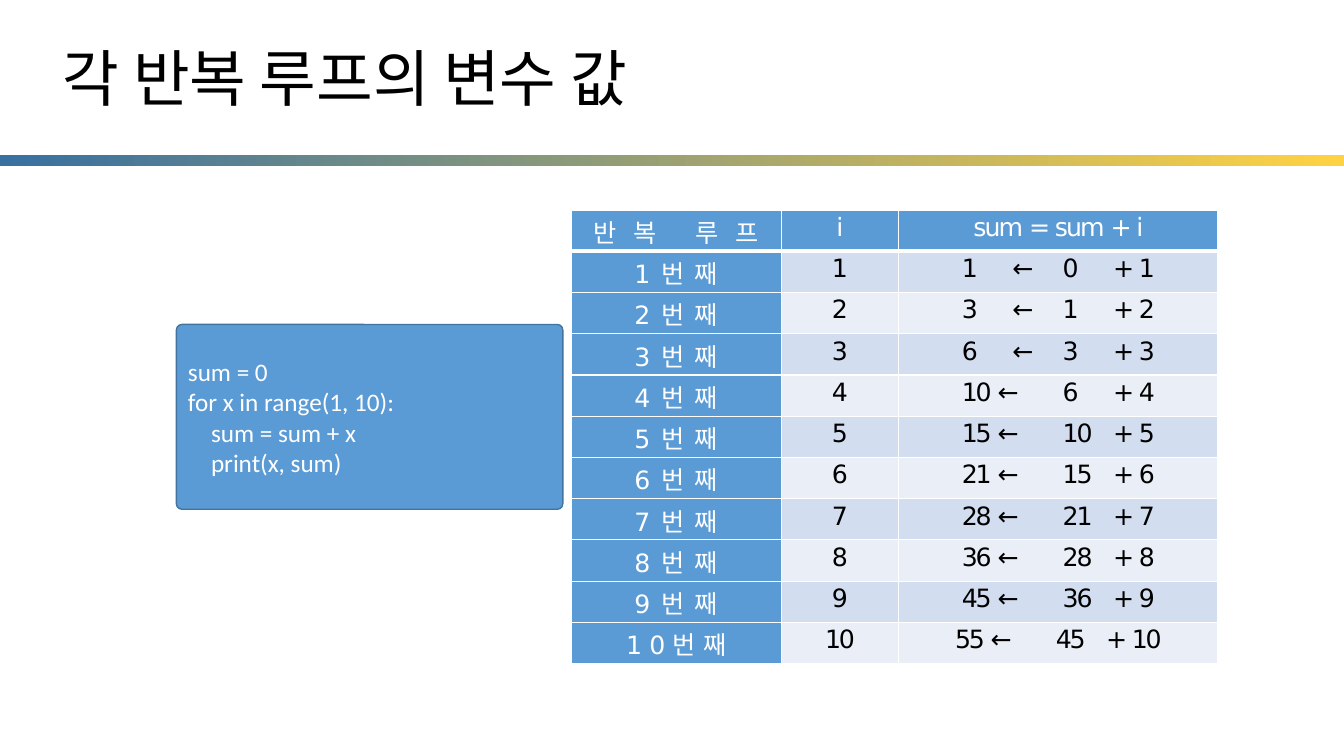
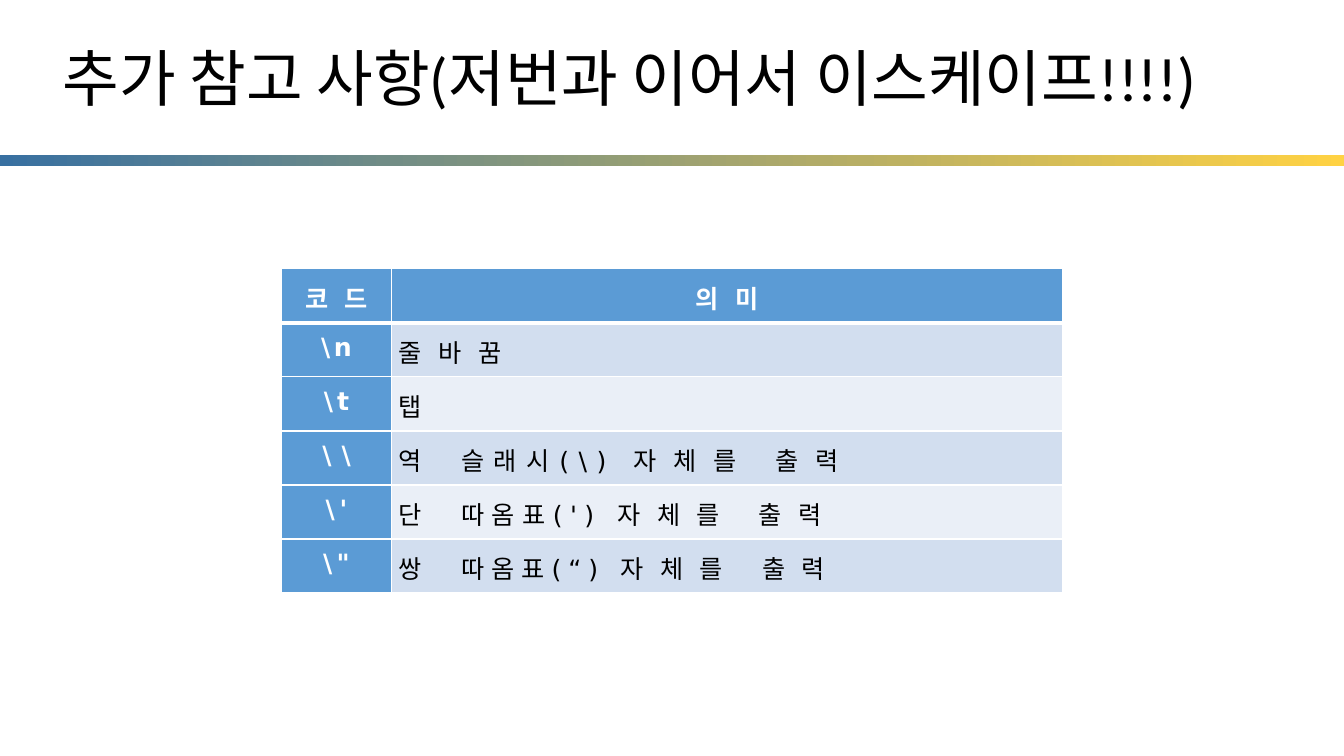
from dataclasses import dataclass
from itertools import accumulate
from typing import NamedTuple

from lxml import etree
from pptx import Presentation
from pptx.dml.color import RGBColor
from pptx.enum.shapes import MSO_SHAPE
from pptx.enum.text import MSO_ANCHOR, MSO_AUTO_SIZE, PP_ALIGN
from pptx.oxml.ns import qn
from pptx.util import Emu, Pt

EMU_PER_PX = 9525
SLIDE_WIDTH, SLIDE_HEIGHT = 1280, 720
BLANK_LAYOUT = 6

RECTANGLE = MSO_SHAPE.RECTANGLE
ROUNDED_RECTANGLE = MSO_SHAPE.ROUNDED_RECTANGLE
LEFT, CENTER = PP_ALIGN.LEFT, PP_ALIGN.CENTER
MIDDLE = MSO_ANCHOR.MIDDLE
GROW_TO_TEXT = MSO_AUTO_SIZE.SHAPE_TO_FIT_TEXT

BLACK = RGBColor(0x00, 0x00, 0x00)
WHITE = RGBColor(0xFF, 0xFF, 0xFF)
BAND_BLUE = RGBColor(0x38, 0x70, 0xA1)
BAND_YELLOW = RGBColor(0xFF, 0xD2, 0x43)
HEADER_BLUE = RGBColor(0x5B, 0x9B, 0xD5)
OUTLINE_BLUE = RGBColor(0x43, 0x73, 0x9E)
ROW_TINTS = (RGBColor(0xD2, 0xDE, 0xEF), RGBColor(0xEA, 0xEF, 0xF7))

TITLE_FONT = "Calibri"
TABLE_FONT = "DejaVu Sans"
WIDE = 11.9  # letter spacing of the Hangul labels, in points
TIGHT, TIGHT_SIGN = -1.6, -2.5


class Box(NamedTuple):
    left: int
    top: int
    width: int
    height: int


class Span(NamedTuple):
    text: str
    spacing: float = 0


@dataclass(frozen=True)
class Cell:
    spans: tuple[Span, ...]
    align: PP_ALIGN = CENTER
    tabs: tuple[int, ...] = ()
    indent: int = 0


@dataclass(frozen=True)
class TableLook:
    top_margin: int
    space_before: float
    bold_labels: bool


def px(length: int) -> Emu:
    return Emu(length * EMU_PER_PX)


def place(box: Box) -> tuple[Emu, ...]:
    return tuple(px(length) for length in box)


def write(paragraph, spans: tuple[Span, ...], *, font: str, size: int,
          color: RGBColor, bold: bool = False, align: PP_ALIGN = LEFT,
          space_before: float = 0, indent: int = 0,
          tabs: tuple[int, ...] = ()) -> None:
    paragraph.alignment = align
    paragraph.space_before = Pt(space_before)
    properties = paragraph._p.get_or_add_pPr()
    properties.set("marL", str(px(indent)))
    properties.set("indent", "0")
    if tabs:
        tab_list = etree.SubElement(properties, qn("a:tabLst"))
        for stop in tabs:
            etree.SubElement(tab_list, qn("a:tab"), pos=str(px(stop)), algn="l")
    for span in spans:
        run = paragraph.add_run()
        run.text = span.text
        run.font.name = font
        run.font.size = Pt(size)
        run.font.bold = bold
        run.font.color.rgb = color
        run._r.get_or_add_rPr().set("spc", str(round(span.spacing * 100)))


def add_titled_slide(deck, title: str, title_width: int):
    """Add a slide with the gradient band and the title that all slides share."""
    slide = deck.slides.add_slide(deck.slide_layouts[BLANK_LAYOUT])
    band = slide.shapes.add_shape(RECTANGLE, *place(Box(0, 148, SLIDE_WIDTH, 10)))
    band.shadow.inherit = False
    band.line.fill.background()
    band.fill.gradient()
    band.fill.gradient_angle = 0
    for stop, color in zip(band.fill.gradient_stops, (BAND_BLUE, BAND_YELLOW)):
        stop.color.rgb = color

    frame = slide.shapes.add_textbox(*place(Box(59, 37, title_width, 72))).text_frame
    frame.word_wrap = True
    frame.auto_size = GROW_TO_TEXT
    frame.vertical_anchor = MIDDLE
    frame.margin_left = frame.margin_right = frame.margin_bottom = 0
    frame.margin_top = px(1)
    write(frame.paragraphs[0], (Span(title, -0.1),), font=TITLE_FONT, size=44,
          color=BLACK, space_before=0.9, indent=1)
    return slide


def add_code_box(slide, box: Box, lines: tuple[tuple[str, int], ...]) -> None:
    code_box = slide.shapes.add_shape(ROUNDED_RECTANGLE, *place(box))
    code_box.adjustments[0] = 0.03
    code_box.shadow.inherit = False
    code_box.fill.solid()
    code_box.fill.fore_color.rgb = HEADER_BLUE
    code_box.line.color.rgb = OUTLINE_BLUE
    code_box.line.width = Pt(1)
    frame = code_box.text_frame
    frame.word_wrap = True
    frame.vertical_anchor = MIDDLE
    for index, (code, indent) in enumerate(lines):
        paragraph = frame.add_paragraph() if index else frame.paragraphs[0]
        write(paragraph, (Span(code),), font=TITLE_FONT, size=18, color=WHITE,
              indent=indent)


def set_borders(cell, top: int, bottom: int) -> None:
    """Give a cell white borders, 1 pt at the sides."""
    properties = cell._tc.get_or_add_tcPr()
    for side, width in (("L", 1), ("R", 1), ("T", top), ("B", bottom)):
        border = etree.SubElement(properties, qn(f"a:ln{side}"), w=str(Pt(width)))
        fill = etree.SubElement(border, qn("a:solidFill"))
        etree.SubElement(fill, qn("a:srgbClr"), val=str(WHITE))


def add_grid(slide, box: Box, column_widths: tuple[int, ...],
             rows: list[tuple[Cell, ...]], look: TableLook) -> None:
    """Draw a table with a blue header row and label column, and tinted rows."""
    table = slide.shapes.add_table(len(rows), len(column_widths), *place(box)).table
    table.first_row = table.horz_banding = False
    for column, width in zip(table.columns, column_widths):
        column.width = px(width)
    for row_index, row in enumerate(rows):
        table.rows[row_index].height = px(box.height) // len(rows)
        for column_index, content in enumerate(row):
            is_label = row_index == 0 or column_index == 0
            cell = table.cell(row_index, column_index)
            cell.margin_left = cell.margin_right = cell.margin_bottom = 0
            cell.margin_top = px(look.top_margin)
            set_borders(cell, top=3 if row_index == 1 else 1,
                        bottom=3 if row_index == 0 else 1)
            cell.fill.solid()
            cell.fill.fore_color.rgb = (
                HEADER_BLUE if is_label else ROW_TINTS[(row_index - 1) % 2])
            write(cell.text_frame.paragraphs[0], content.spans, font=TABLE_FONT,
                  size=18, color=WHITE if is_label else BLACK,
                  bold=is_label and look.bold_labels, align=content.align,
                  space_before=look.space_before, indent=content.indent,
                  tabs=content.tabs)


def label(text: str, spacing: float = 0) -> Cell:
    return Cell((Span(text, spacing),))


def meaning(*spans: Span) -> Cell:
    return Cell(spans, align=LEFT, indent=7)


def sum_step(total: int, addend: int) -> Cell:
    """Show one addition, with tab stops that suit the number of digits."""
    previous = total - addend
    if total < 10:
        gap, tabs = "\t", (30, 70, 100)
    else:
        gap, tabs = " ", (75, 105 if previous < 10 else 117)
    return Cell((Span(f"{total}{gap}", TIGHT), Span("←\t", 2),
                 Span(f"{previous}\t", TIGHT), Span("+ ", TIGHT_SIGN),
                 Span(str(addend), TIGHT)), tabs=tabs)


def build_loop_slide(deck) -> None:
    slide = add_titled_slide(deck, "각 반복 루프의 변수 값", 598)
    rows = [(label("반복 루프", WIDE), label("i"),
             Cell((Span("sum ", -1.4), Span("= ", TIGHT_SIGN), Span("sum ", -1.4),
                   Span("+ ", TIGHT_SIGN), Span("i", -0.6))))]
    for i, total in enumerate(accumulate(range(1, 11)), start=1):
        one_digit = i < 10
        rows.append((label(f"{i}번째", 7.5 if one_digit else 5.2),
                     label(str(i), 0 if one_digit else TIGHT),
                     sum_step(total, i)))
    add_grid(slide, Box(544, 200, 616, 432), (200, 112, 304), rows,
             TableLook(top_margin=3, space_before=2.4, bold_labels=False))
    add_code_box(slide, Box(168, 309, 368, 176), (
        ("sum = 0", 0),
        ("for x in range(1, 10):", 0),
        ("sum = sum + x", 22),
        ("print(x, sum)", 22),
    ))


def build_escape_slide(deck) -> None:
    slide = add_titled_slide(
        deck, "추가 참고 사항(저번과 이어서 이스케이프!!!!)", 1174)
    prints_itself = Span("자체를 출력", WIDE)
    rows = [
        (label("코드", WIDE), label("의미", WIDE)),
        (label("\\n", 2.6), meaning(Span("줄바꿈", WIDE))),
        (label("\\t", 2.8), meaning(Span("탭"))),
        (label("\\\\", 7.2),
         meaning(Span("역 ", WIDE), Span("슬래시(\\) ", 6.8), prints_itself)),
        (label("\\'", 3.4),
         meaning(Span("단 ", WIDE), Span("따옴표(') ", 5.3), prints_itself)),
        (label('\\"', 3.2),
         meaning(Span("쌍 ", WIDE), Span("따옴표(“) ", 5), prints_itself)),
    ]
    add_grid(slide, Box(268, 256, 744, 309), (105, 639), rows,
             TableLook(top_margin=10, space_before=7, bold_labels=True))


def main() -> None:
    deck = Presentation()
    deck.slide_width, deck.slide_height = px(SLIDE_WIDTH), px(SLIDE_HEIGHT)
    build_loop_slide(deck)
    build_escape_slide(deck)
    deck.save("out.pptx")


if __name__ == "__main__":
    main()
